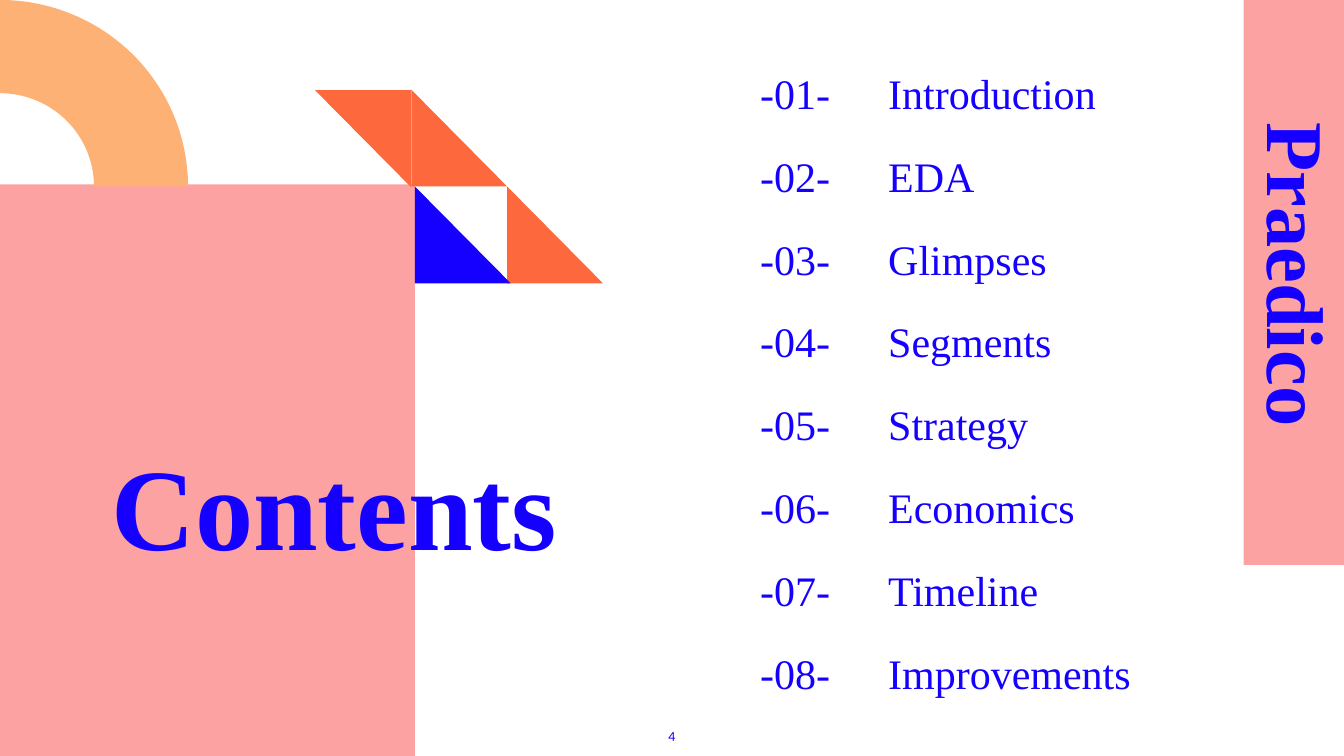
from dataclasses import dataclass
from math import cos, pi, sin

from pptx import Presentation
from pptx.dml.color import RGBColor
from pptx.enum.shapes import MSO_SHAPE as Shape
from pptx.enum.text import MSO_ANCHOR as Anchor, MSO_AUTO_SIZE as AutoSize, PP_ALIGN as Align
from pptx.slide import Slide
from pptx.util import Inches, Pt

COLORS = {"blue": "1500FF", "pink": "FDA2A3", "orange": "FD693C", "peach": "FEB174"}
SECTIONS = [
    ("Introduction", 5.72), ("EDA", 5.17), ("Glimpses", 5.17), ("Segments", 5.55),
    ("Strategy", 5.55), ("Economics", 5.55), ("Timeline", 5.55), ("Improvements", 6.76),
]
FIRST_TOP, LAST_TOP = 1.29, 12.79
TILE_WIDTH, TILE_HEIGHT = 1.9, 1.92


@dataclass
class ContentsPage:
    """Draws styled elements on one slide."""

    slide: Slide
    font: str = "Times New Roman"
    ink: str = "blue"

    def paint(self, shape, color):
        shape.shadow.inherit = False
        shape.fill.solid()
        shape.fill.fore_color.rgb = RGBColor.from_string(COLORS[color])
        shape.line.fill.background()

    def block(self, kind, left, top, width, height, color, rotation=0):
        shape = self.slide.shapes.add_shape(
            kind, Inches(left), Inches(top), Inches(width), Inches(height))
        shape.rotation = rotation
        self.paint(shape, color)

    def triangle(self, left, top, color, rotation=0):
        self.block(Shape.RIGHT_TRIANGLE, left, top, TILE_WIDTH, TILE_HEIGHT, color, rotation)

    def quarter_ring(self, center_y, radius_x, radius_y, color, steps=60):
        angles = [pi / 2 * step / steps for step in range(steps + 1)]
        outer = [(cos(a), sin(a)) for a in angles]
        inner = [(x / 2, y / 2) for x, y in reversed(outer)]
        points = [(Inches(radius_x * x), Inches(center_y - radius_y * y))
                  for x, y in outer + inner]
        builder = self.slide.shapes.build_freeform(*points[0])
        builder.add_line_segments(points[1:])
        self.paint(builder.convert_to_shape(), color)

    def text(self, words, left, top, width, height, size, bold=False, rotation=0,
             parent=None, font=None, align=Align.LEFT, anchor=Anchor.TOP,
             fit=AutoSize.SHAPE_TO_FIT_TEXT):
        shapes = (parent or self.slide).shapes
        box = shapes.add_textbox(Inches(left), Inches(top), Inches(width), Inches(height))
        box.rotation = rotation
        frame = box.text_frame
        frame.word_wrap = True
        frame.auto_size = fit
        frame.vertical_anchor = anchor
        paragraph = frame.paragraphs[0]
        paragraph.text = words
        paragraph.alignment = align
        paragraph.font.name = font or self.font
        paragraph.font.size = Pt(size)
        paragraph.font.bold = bold
        paragraph.font.color.rgb = RGBColor.from_string(COLORS[self.ink])

    def entry(self, number, title, top, width):
        row = self.slide.shapes.add_group_shape()
        self.text(f"-{number:02}-", 14.98, top, 2.8, 1.11, 60, parent=row)
        self.text(title, 17.52, top, width, 1.11, 60, parent=row)


def main():
    deck = Presentation()
    deck.slide_width, deck.slide_height = Inches(26.66), Inches(15)
    page = ContentsPage(deck.slides.add_slide(deck.slide_layouts[6]))

    page.block(Shape.RECTANGLE, 0, 3.66, 8.23, 11.34, "pink")
    page.text("Contents", 2.11, 8.57, 11.39, 2.89, 166, bold=True)
    page.block(Shape.RECTANGLE, 24.67, -0.13, 1.99, 11.34, "pink")

    page.triangle(8.16, 1.78, "orange")
    page.triangle(6.25, 1.79, "orange", rotation=180)
    page.triangle(10.06, 3.7, "orange")
    page.quarter_ring(3.7, 3.73, 3.7, "peach")
    page.triangle(8.23, 3.7, "blue")
    page.text("Praedico", 21.21, 5.86, 9.1, 2.04, 115, bold=True, rotation=90)

    pitch = (LAST_TOP - FIRST_TOP) / (len(SECTIONS) - 1)
    for index, (title, width) in enumerate(SECTIONS):
        page.entry(index + 1, title, FIRST_TOP + index * pitch, width)

    page.text("4", 10.33, 14.2, 6, 0.8, 20, font="Calibri", align=Align.CENTER,
              anchor=Anchor.MIDDLE, fit=AutoSize.NONE)
    deck.save("out.pptx")


if __name__ == "__main__":
    main()
